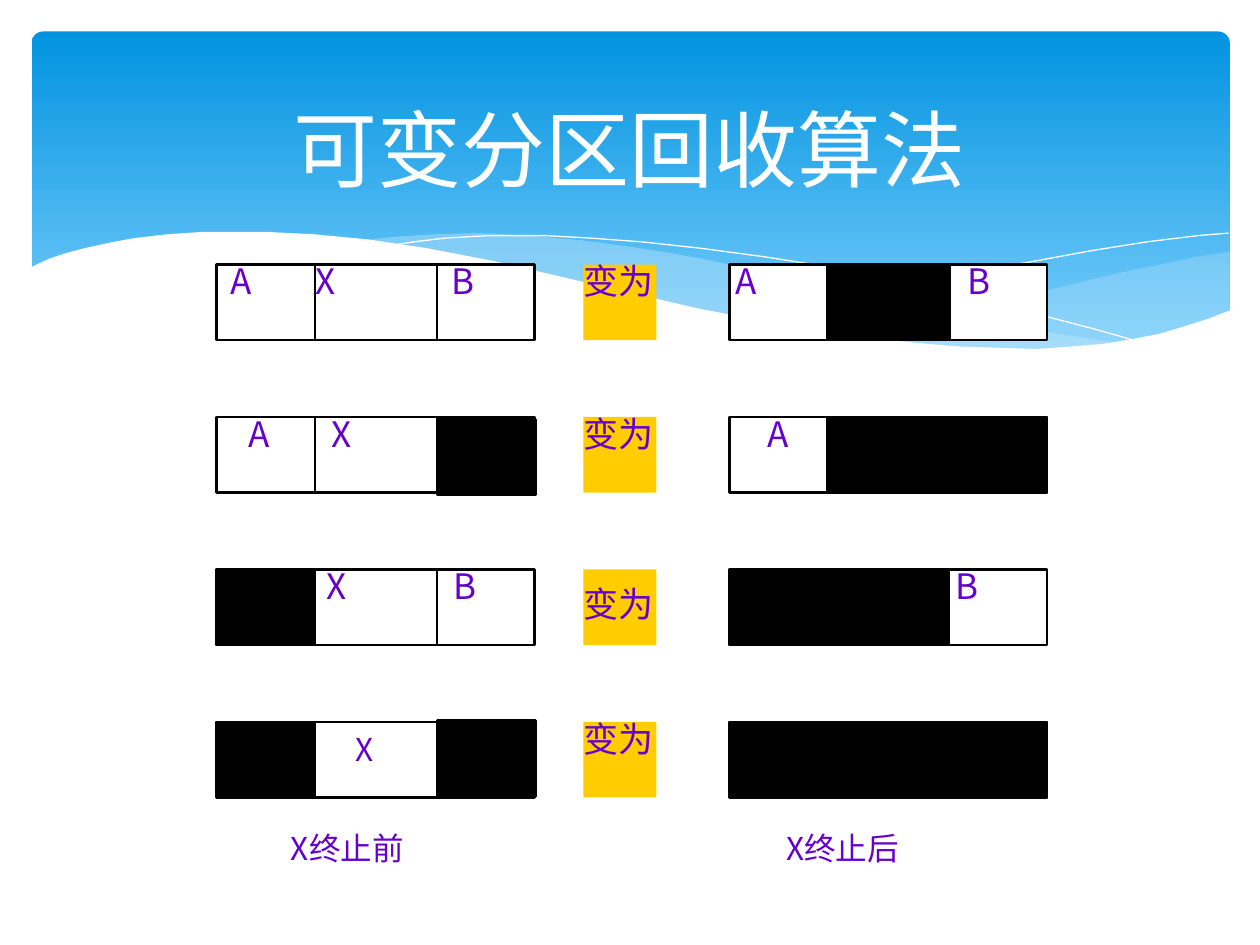
from lxml import etree
from pptx import Presentation
from pptx.dml.color import RGBColor
from pptx.enum.shapes import MSO_CONNECTOR, MSO_SHAPE
from pptx.enum.text import MSO_ANCHOR, PP_ALIGN
from pptx.oxml.ns import qn
from pptx.util import Inches, Pt

RECTANGLE = MSO_SHAPE.RECTANGLE
ROUNDED = MSO_SHAPE.ROUNDED_RECTANGLE
STRAIGHT = MSO_CONNECTOR.STRAIGHT
TOP, MIDDLE = MSO_ANCHOR.TOP, MSO_ANCHOR.MIDDLE
LEFT, CENTER, JUSTIFY = PP_ALIGN.LEFT, PP_ALIGN.CENTER, PP_ALIGN.JUSTIFY

HUNDREDTH = Inches(0.01)
BAR_WIDTH, BAR_HEIGHT = 2.52, 0.6
BEFORE_LEFT, ARROW_LEFT, AFTER_LEFT = 1.72, 4.63, 5.79
FIRST_TOP, ROW_STEP = 2.1, 1.21

RIGHT_WAVE = [
    (975, 200), (948, 204), (921, 210), (891, 216), (861, 223), (805, 237), (753, 248),
    (706, 257), (661, 265), (691, 269), (718, 273), (745, 275), (781, 277), (814, 278),
    (844, 277), (872, 274), (897, 270), (921, 265), (942, 259), (963, 252), (976, 247),
    (976, 200),
]
MIDDLE_WAVE = [
    (893, 273), (866, 269), (807, 260), (741, 247), (668, 231), (613, 218), (584, 211),
    (555, 205), (527, 200), (501, 196), (464, 191), (420, 187), (380, 185), (344, 186),
    (313, 188), (286, 191), (323, 196), (362, 203), (404, 211), (449, 222), (530, 240),
    (601, 255), (650, 264), (695, 270), (736, 275), (773, 278), (807, 279), (838, 278),
    (867, 276),
]
LONG_CURVE = [
    (309, 195), (328, 192), (353, 189), (387, 187), (433, 187), (469, 189), (510, 192),
    (556, 197), (608, 204), (665, 213), (727, 226), (795, 242), (868, 261), (907, 272),
]
SHORT_CURVE = [
    (613, 257), (652, 246), (695, 235), (748, 223), (806, 210), (866, 199), (910, 192),
    (951, 187), (975, 185),
]
WHITE_WAVE = [
    (977, 246), (959, 253), (940, 259), (920, 265), (899, 269), (875, 273), (850, 275),
    (823, 277), (793, 276), (761, 275), (726, 272), (688, 268), (647, 262), (603, 254),
    (555, 245), (503, 233), (447, 220), (391, 207), (339, 197), (292, 190), (250, 186),
    (211, 184), (161, 184), (132, 186), (106, 189), (85, 193), (67, 197), (52, 201),
    (40, 205), (29, 210), (23, 213), (23, 329), (977, 329),
]


def color(value):
    return RGBColor.from_string(value)


class SlideBuilder:
    font = "Noto Sans CJK JP"
    ink = "6600CC"
    black = "000000"
    white = "FFFFFF"
    yellow = "FFCC00"

    def __init__(self, page):
        self.page = page

    def add_text(self, para, text, size, ink):
        span = para.add_run()
        span.text = text
        span.font.size = Pt(size)
        span.font.name = self.font
        span.font.color.rgb = color(ink)
        etree.SubElement(span._r.get_or_add_rPr(), qn("a:ea"), typeface=self.font)

    def title(self, text, left, top, width, height):
        box = self.page.shapes.title
        box.left, box.top = Inches(left), Inches(top)
        box.width, box.height = Inches(width), Inches(height)
        box.text_frame.vertical_anchor = MIDDLE
        para = box.text_frame.paragraphs[0]
        para.alignment = CENTER
        self.add_text(para, text, 48, self.white)
        box._element.getparent().append(box._element)

    def banner(self, left, top, width, height):
        shape = self.page.shapes.add_shape(
            ROUNDED, Inches(left), Inches(top), Inches(width), Inches(height))
        shape.adjustments[0] = 0.034
        shape.shadow.inherit = False
        shape.line.fill.background()
        shape.fill.gradient()
        shape.fill.gradient_angle = 270
        for stop, value in zip(shape.fill.gradient_stops, ("0293E0", "83D3FE")):
            stop.color.rgb = color(value)

    def outline(self, points, closed):
        builder = self.page.shapes.build_freeform(*points[0], scale=HUNDREDTH)
        builder.add_line_segments(points[1:], close=closed)
        shape = builder.convert_to_shape()
        shape.shadow.inherit = False
        return shape

    def wave(self, points, fill, opacity=100):
        shape = self.outline(points, True)
        shape.line.fill.background()
        shape.fill.solid()
        shape.fill.fore_color.rgb = color(fill)
        if opacity < 100:
            tint = shape._element.spPr.find(".//" + qn("a:srgbClr"))
            etree.SubElement(tint, qn("a:alpha"), val=str(opacity * 1000))

    def curve(self, points):
        shape = self.outline(points, False)
        shape.fill.background()
        shape.line.color.rgb = color(self.white)
        shape.line.width = Pt(0)

    def block(self, left, top, width, height, fill, bordered=True):
        shape = self.page.shapes.add_shape(
            RECTANGLE, Inches(left), Inches(top), Inches(width), Inches(height))
        shape.shadow.inherit = False
        shape.fill.solid()
        shape.fill.fore_color.rgb = color(fill)
        if bordered:
            shape.line.color.rgb = color(self.black)
            shape.line.width = Pt(1.5)
        else:
            shape.line.fill.background()
        return shape

    def label(self, shape, text, size=20, tabs=(), inset_top=0, alignment=JUSTIFY):
        frame = shape.text_frame
        frame.margin_left = frame.margin_right = frame.margin_bottom = 0
        frame.margin_top = Inches(inset_top)
        frame.vertical_anchor = TOP
        para = frame.paragraphs[0]
        if tabs:
            stops = etree.SubElement(para._p.get_or_add_pPr(), qn("a:tabLst"))
            for position in tabs:
                etree.SubElement(stops, qn("a:tab"), pos=str(Inches(position)), algn="l")
        para.alignment = alignment
        para.line_spacing = 0.9
        self.add_text(para, text, size, self.ink)

    def divider(self, x, top):
        line = self.page.shapes.add_connector(
            STRAIGHT, Inches(x), Inches(top), Inches(x), Inches(top + BAR_HEIGHT))
        line.line.color.rgb = color(self.black)
        line.line.width = Pt(1.5)
        etree.SubElement(line._element.spPr, qn("a:effectLst"))

    def bar(self, left, top, letters, dividers, free):
        shape = self.block(left, top, BAR_WIDTH, BAR_HEIGHT, self.white)
        if letters:
            text = "".join("\t" + letter for letter, _ in letters)
            self.label(shape, text, tabs=[position for _, position in letters])
        for x in dividers:
            self.divider(x, top)
        for start, width, shift in free:
            self.block(start, top + shift, width, BAR_HEIGHT, self.black)

    def note(self, text, left, top, width, height):
        shape = self.block(left, top, width, height, self.white, bordered=False)
        self.label(shape, text, size=18)

    def floating(self, text, left, top, width, height):
        box = self.page.shapes.add_textbox(
            Inches(left), Inches(top), Inches(width), Inches(height))
        self.label(box, text, size=18, inset_top=0.05, alignment=LEFT)
        box.text_frame.margin_left = Inches(0.1)


def main():
    deck = Presentation()
    deck.slide_width, deck.slide_height = Inches(10), Inches(7.5)
    builder = SlideBuilder(deck.slides.add_slide(deck.slide_layouts[5]))

    builder.banner(0.25, 0.25, 9.51, 2.7)
    builder.wave(RIGHT_WAVE, "C6E7FC", 29)
    builder.wave(MIDDLE_WAVE, "C6E7FC", 40)
    builder.curve(LONG_CURVE)
    builder.curve(SHORT_CURVE)
    builder.wave(WHITE_WAVE, builder.white)
    builder.title("可变分区回收算法", 0.75, 0.84, 8.5, 0.66)

    before_free = (BEFORE_LEFT, 0.77, 0)
    rows = [
        ([("A", 0.11), ("X", 0.78), ("B", 1.86)], [],
         [("A", 0.05), ("B", 1.89)], [6.57, 7.53], [(6.57, 0.97, 0)], 0),
        ([("A", 0.25), ("X", 0.91)], [(3.47, 0.78, 0.02)],
         [("A", 0.3)], [6.57], [(6.57, 1.74, 0)], 0),
        ([("X", 0.87), ("B", 1.88)], [before_free],
         [("B", 1.79)], [7.53], [(AFTER_LEFT, 1.74, 0)], 0.14),
        ([], [before_free, (3.47, 0.78, -0.01)],
         [], [], [(AFTER_LEFT, BAR_WIDTH, 0)], 0),
    ]
    for index, (before, free, after, dividers, merged, inset) in enumerate(rows):
        top = FIRST_TOP + index * ROW_STEP
        builder.bar(BEFORE_LEFT, top, before, [2.5, 3.47], free)
        becomes = builder.block(
            ARROW_LEFT, top, 0.58, BAR_HEIGHT, builder.yellow, bordered=False)
        builder.label(becomes, "变为", inset_top=inset)
        builder.bar(AFTER_LEFT, top, after, dividers, merged)

    builder.floating("X", 2.72, 5.78, 0.34, 0.4)
    builder.note("X终止前", 2.31, 6.61, 1.67, 0.48)
    builder.note("X终止后", 6.24, 6.61, 1.35, 0.57)
    deck.save("out.pptx")


if __name__ == "__main__":
    main()
